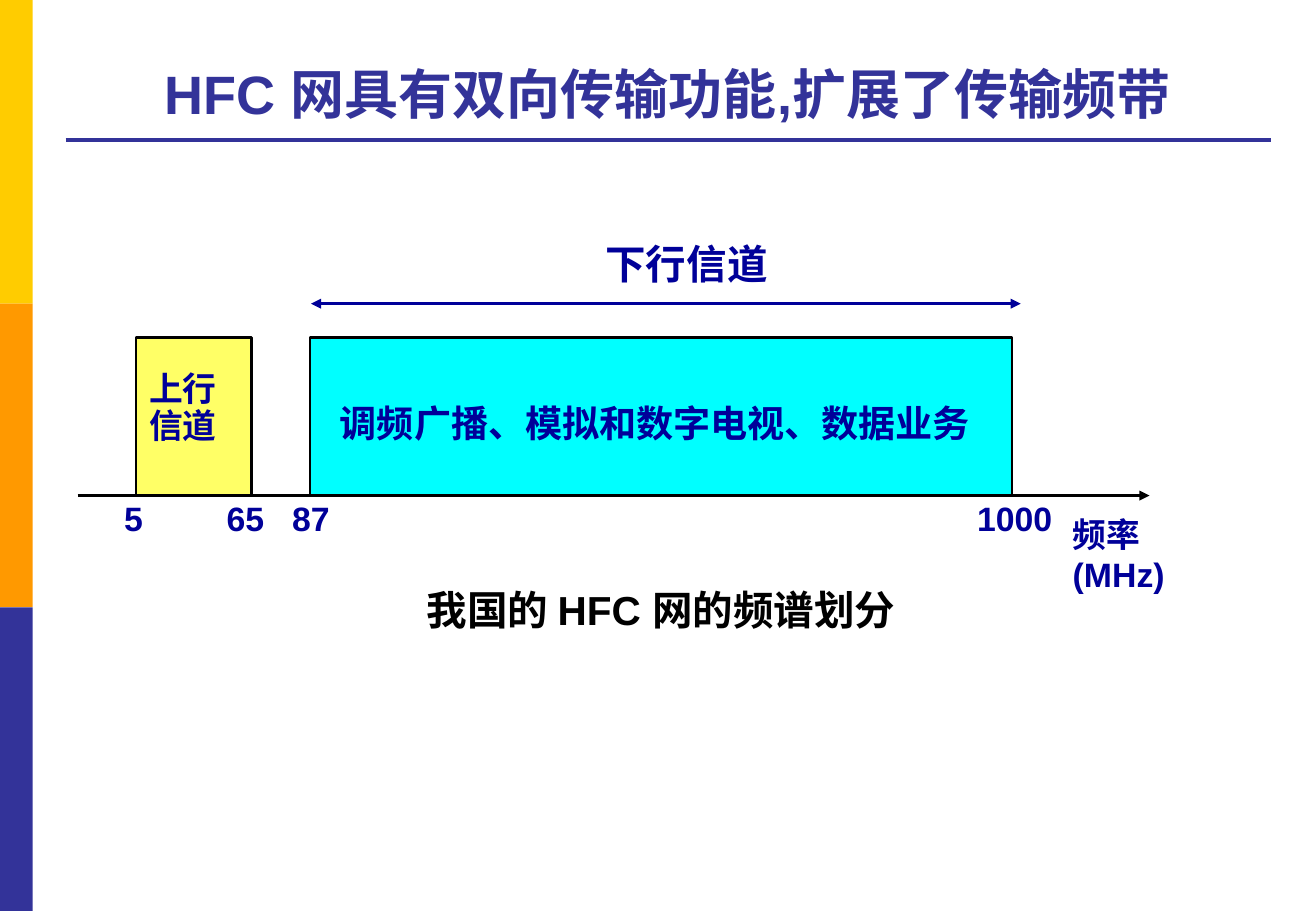
from dataclasses import dataclass

from lxml.etree import SubElement
from pptx import Presentation
from pptx.dml.color import RGBColor
from pptx.enum.shapes import MSO_CONNECTOR, MSO_SHAPE
from pptx.enum.text import MSO_ANCHOR, PP_ALIGN
from pptx.oxml.ns import qn
from pptx.util import Inches, Pt


@dataclass(frozen=True)
class Theme:
    font: str = "Arial"
    gold: str = "FFCC00"
    orange: str = "FF9900"
    indigo: str = "333399"
    navy: str = "000099"
    black: str = "000000"
    yellow: str = "FFFF66"
    cyan: str = "00FFFF"
    title: int = 32
    heading: int = 24
    service: int = 22
    label: int = 20
    rule: float = 2.25
    stroke: float = 1.5


class SlideBuilder:
    def __init__(self, slide, theme):
        self.shapes = slide.shapes
        self.theme = theme

    def block(self, left, top, width, height, fill, outline=None):
        block = self.shapes.add_shape(
            MSO_SHAPE.RECTANGLE, Inches(left), Inches(top), Inches(width), Inches(height)
        )
        block.shadow.inherit = False
        block.fill.solid()
        block.fill.fore_color.rgb = RGBColor.from_string(fill)
        if outline:
            block.line.color.rgb = RGBColor.from_string(outline)
            block.line.width = Pt(self.theme.stroke)
        else:
            block.line.fill.background()

    def line(self, start, end, y, color, width, arrows=()):
        line = self.shapes.add_connector(
            MSO_CONNECTOR.STRAIGHT, Inches(start), Inches(y), Inches(end), Inches(y)
        )
        line.line.color.rgb = RGBColor.from_string(color)
        line.line.width = Pt(width)
        properties = line._element.spPr
        for arrow in arrows:
            SubElement(properties.find(qn("a:ln")), qn(f"a:{arrow}"), type="triangle")
        SubElement(properties, qn("a:effectLst"))

    def text(self, left, top, width, height, lines, size, color,
             align=PP_ALIGN.CENTER, anchor=MSO_ANCHOR.TOP, spacing=1.0):
        frame = self.shapes.add_textbox(
            Inches(left), Inches(top), Inches(width), Inches(height)
        ).text_frame
        frame.word_wrap = True
        frame.vertical_anchor = anchor
        frame.text = "\n".join(lines)
        for paragraph in frame.paragraphs:
            paragraph.alignment = align
            paragraph.line_spacing = spacing
            paragraph.font.name = self.theme.font
            paragraph.font.size = Pt(size)
            paragraph.font.bold = True
            paragraph.font.color.rgb = RGBColor.from_string(color)


theme = Theme()
presentation = Presentation()
presentation.slide_width = Inches(10.83)
presentation.slide_height = Inches(7.5)
builder = SlideBuilder(
    presentation.slides.add_slide(presentation.slide_layouts[6]), theme
)

for index, color in enumerate((theme.gold, theme.orange, theme.indigo)):
    builder.block(0, index * 2.5, 0.27, 2.5, color)

builder.line(0.54, 10.46, 1.15, theme.indigo, theme.rule)
builder.text(0.54, 0.21, 9.91, 0.87, ["HFC 网具有双向传输功能,扩展了传输频带".replace(",", ",")],
             theme.title, theme.indigo, anchor=MSO_ANCHOR.BOTTOM)

builder.line(2.56, 8.4, 2.5, theme.navy, theme.stroke, ("headEnd", "tailEnd"))
builder.text(4.65, 1.92, 2, 0.5, ["下行信道"], theme.heading, theme.navy)

band_top, axis_y = 2.78, 4.08
for left, width, fill in ((1.12, 0.95, theme.yellow), (2.55, 5.78, theme.cyan)):
    builder.block(left, band_top, width, axis_y - band_top, fill, theme.black)
builder.text(1.13, 3.02, 0.9, 0.71, ["上行", "信道"], theme.label, theme.navy,
             align=PP_ALIGN.LEFT, spacing=0.9)
builder.text(2.55, 3.25, 5.68, 0.47, ["调频广播、模拟和数字电视、数据业务"],
             theme.service, theme.navy)

builder.line(0.64, 9.46, axis_y, theme.black, theme.stroke, ("tailEnd",))
tick_width = 1
for frequency, center in ((5, 1.1), (65, 2.02), (87, 2.56), (1000, 8.35)):
    builder.text(center - tick_width / 2, 4.05, tick_width, 0.44, [str(frequency)],
                 theme.label, theme.navy)
builder.text(8.73, 4.18, 1.2, 0.78, ["频率", "(MHz)"], theme.label, theme.navy,
             align=PP_ALIGN.LEFT)
builder.text(2.55, 4.77, 5.78, 0.5, ["我国的 HFC 网的频谱划分"], theme.heading, theme.black)

presentation.save("out.pptx")
